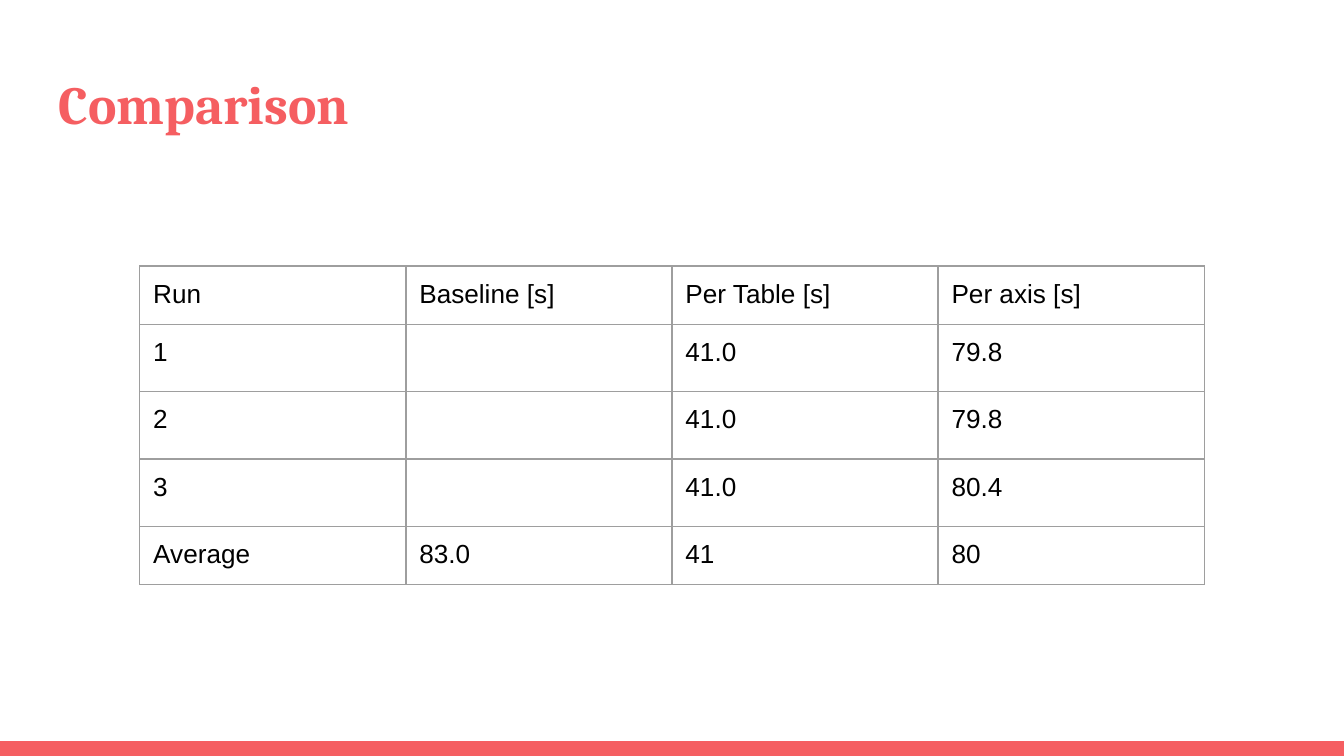
import pptx
import pptx.util
import pptx.dml.color
import pptx.enum.shapes
import pptx.enum.text
import pptx.oxml
import pptx.oxml.ns

CORAL = pptx.dml.color.RGBColor(0xF5, 0x5E, 0x61)
BLACK = pptx.dml.color.RGBColor(0, 0, 0)
GREY = pptx.dml.color.RGBColor(0x9E, 0x9E, 0x9E)
INCH = pptx.util.Inches
PAD = INCH(0.1)


def style(para, name, size, color, bold=False):
    font = para.font
    font.name, font.size, font.bold = name, pptx.util.Pt(size), bold
    font.color.rgb = color


def border(cell):
    props = cell._tc.get_or_add_tcPr()
    for i, side in enumerate(("lnL", "lnR", "lnT", "lnB")):
        line = pptx.oxml.parse_xml(
            f'<a:{side} {pptx.oxml.ns.nsdecls("a")} w="{pptx.util.Pt(0.75)}">'
            f'<a:solidFill><a:srgbClr val="{GREY}"/></a:solidFill></a:{side}>')
        props.insert(i, line)


# Slide in 16:9
deck = pptx.Presentation()
wide = INCH(10)
high = wide * 9 // 16
deck.slide_width, deck.slide_height = wide, high
slide = deck.slides.add_slide(deck.slide_layouts[6])
shapes = slide.shapes

# Bottom bar
thick = INCH(0.11)
bar = shapes.add_shape(pptx.enum.shapes.MSO_SHAPE.RECTANGLE,
                       0, high - thick, wide, thick)
bar.shadow.inherit = False
bar.fill.solid()
bar.fill.fore_color.rgb = CORAL
bar.line.fill.background()

# Title
edge = INCH(0.34)
title = shapes.add_textbox(edge, INCH(0.43), wide - 2 * edge, INCH(0.68))
frame = title.text_frame
frame.word_wrap = True
frame.margin_left = frame.margin_right = PAD
frame.margin_top = frame.margin_bottom = PAD
frame.text = "Comparison"
style(frame.paragraphs[0], "Cambria", 28.8, CORAL, True)

# Table of run times; rows with an empty cell grow to its default font
rows = [
    ["Run", "Baseline [s]", "Per Table [s]", "Per axis [s]"],
    ["1", "", "41.0", "79.8"],
    ["2", "", "41.0", "79.8"],
    ["3", "", "41.0", "80.4"],
    ["Average", "83.0", "41", "80"],
]
col, tall = INCH(1.98), INCH(0.42)
count = len(rows[0])
table = shapes.add_table(len(rows), count, (wide - count * col) // 2,
                         INCH(1.98), count * col, len(rows) * tall).table
table.first_row = table.horz_banding = False
for item in table.columns:
    item.width = col
for r, row in enumerate(rows):
    table.rows[r].height = tall
    for c, text in enumerate(row):
        cell = table.cell(r, c)
        cell.margin_left = cell.margin_right = PAD
        cell.margin_top = cell.margin_bottom = PAD
        cell.vertical_anchor = pptx.enum.text.MSO_ANCHOR.TOP
        cell.fill.background()
        border(cell)
        if text:
            cell.text = text
            style(cell.text_frame.paragraphs[0], "Arial", 14, BLACK)

deck.save("out.pptx")
